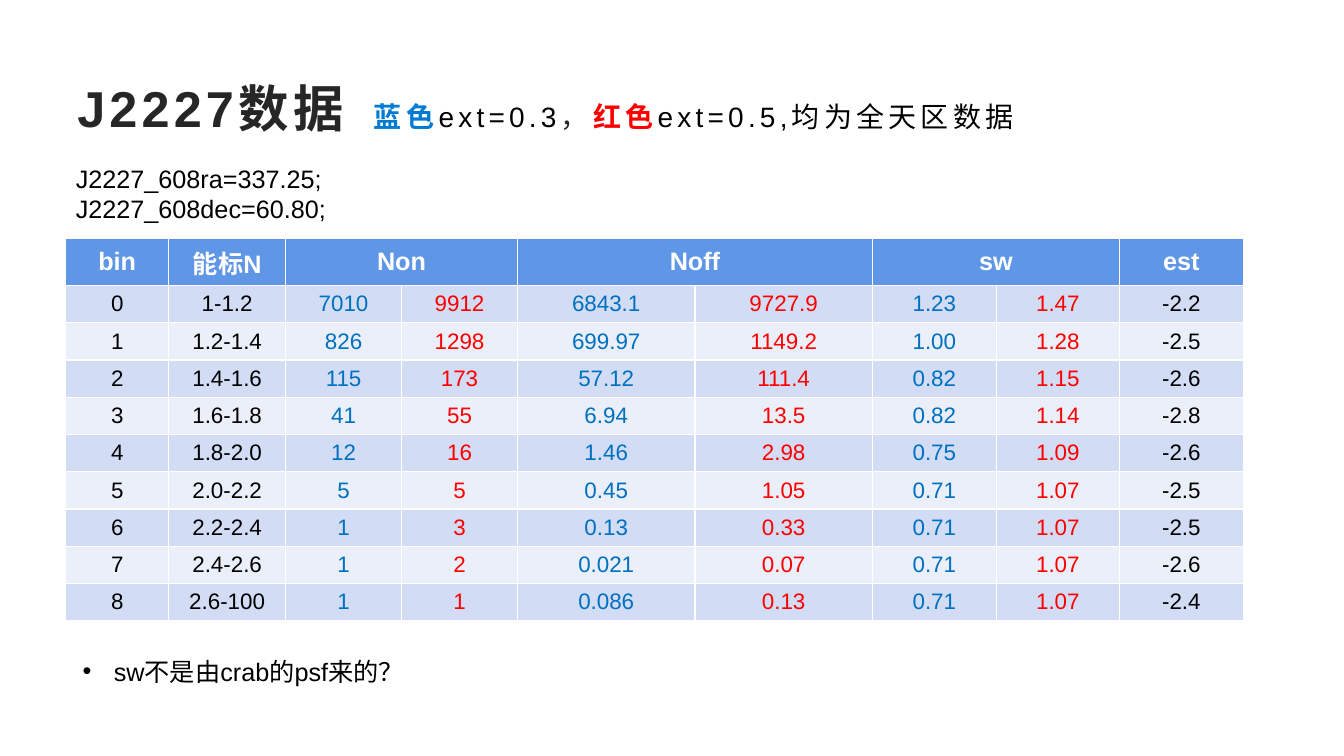
from pptx import Presentation
from pptx import util as u
from pptx.dml.color import RGBColor
from pptx.enum import text as t

WHITE = RGBColor(0xFF, 0xFF, 0xFF)
BLACK = RGBColor(0x00, 0x00, 0x00)
DARK = RGBColor(0x26, 0x26, 0x26)
BLUE = RGBColor(0x00, 0x70, 0xC0)
RED = RGBColor(0xFF, 0x00, 0x00)
SKY = RGBColor(0x00, 0x7B, 0xD3)
NAVY = RGBColor(0x03, 0x43, 0x73)
HEAD = RGBColor(0x60, 0x96, 0xE6)
BANDS = RGBColor(0xD2, 0xDD, 0xF5), RGBColor(0xEA, 0xEF, 0xFA)

FONT = "Arial"
WIDTH, HEIGHT = u.Inches(13.33), u.Inches(7.5)
COLS = 1.02, 1.16, 1.15, 1.15, 1.76, 1.76, 1.23, 1.22, 1.23
INKS = BLACK, BLACK, BLUE, RED, BLUE, RED, BLUE, RED, BLACK
PAIRS = 2, 4, 6  # first column of each blue and red pair
TOP_ROW, ROW = 0.4, 0.37

TITLE = [
    ("J2227数据 ", 36, DARK, True),
    (" ", 20, DARK, True),
    ("蓝色", 20, None, True),
    ("ext=0.3", 20, BLACK, False),
    ("，", 20, DARK, False),
    ("红色", 20, RED, True),
    ("ext=0.5,均为全天区数据", 20, BLACK, False),
]
HEADS = ["bin", "能标N", "Non", "", "Noff", "", "sw", "", "est"]
DATA = [
    ["0", "1-1.2", "7010", "9912", "6843.1", "9727.9", "1.23", "1.47", "-2.2"],
    ["1", "1.2-1.4", "826", "1298", "699.97", "1149.2", "1.00", "1.28", "-2.5"],
    ["2", "1.4-1.6", "115", "173", "57.12", "111.4", "0.82", "1.15", "-2.6"],
    ["3", "1.6-1.8", "41", "55", "6.94", "13.5", "0.82", "1.14", "-2.8"],
    ["4", "1.8-2.0", "12", "16", "1.46", "2.98", "0.75", "1.09", "-2.6"],
    ["5", "2.0-2.2", "5", "5", "0.45", "1.05", "0.71", "1.07", "-2.5"],
    ["6", "2.2-2.4", "1", "3", "0.13", "0.33", "0.71", "1.07", "-2.5"],
    ["7", "2.4-2.6", "1", "2", "0.021", "0.07", "0.71", "1.07", "-2.6"],
    ["8", "2.6-100", "1", "1", "0.086", "0.13", "0.71", "1.07", "-2.4"],
]


def box(x, y, w, h):
    """Turn shares of the slide's size into left, top, width and height."""
    return int(x * WIDTH), int(y * HEIGHT), int(w * WIDTH), int(h * HEIGHT)


def place(shape, area):
    shape.left, shape.top, shape.width, shape.height = area


def style(run, size, ink, bold=False):
    font = run.font
    font.name, font.size, font.bold = FONT, u.Pt(size), bold
    if ink is not None:
        font.color.rgb = ink


def fade(run):
    """Fill the run with a gradient from sky blue to navy."""
    fill = run.font.fill
    fill.gradient()
    fill.gradient_angle = 0
    for stop, ink in zip(fill.gradient_stops, (SKY, NAVY)):
        stop.color.rgb = ink


def add_title(slide):
    title = slide.shapes.title
    place(title, box(0.05, 0.09, 0.9, 0.103))
    frame = title.text_frame
    frame.auto_size = t.MSO_AUTO_SIZE.NONE
    frame.vertical_anchor = t.MSO_ANCHOR.MIDDLE
    para = frame.paragraphs[0]
    para.alignment = t.PP_ALIGN.LEFT
    for words, size, ink, bold in TITLE:
        run = para.add_run()
        run.text = words
        style(run, size, ink, bold)
        run.font._element.set("spc", "300")
        if ink is None:
            fade(run)


def add_note(slide, words, area):
    note = slide.shapes.add_textbox(*area)
    frame = note.text_frame
    frame.word_wrap = True
    frame.text = words
    for para in frame.paragraphs:
        style(para.runs[0], 18, BLACK)


def add_list(slide, words, area):
    body = slide.placeholders[1]
    place(body, area)
    frame = body.text_frame
    frame.auto_size = t.MSO_AUTO_SIZE.NONE
    frame.text = words
    for para in frame.paragraphs:
        para.space_before = u.Pt(0)
        props = para._p.get_or_add_pPr()
        props.set("marL", str(u.Inches(0.31)))
        props.set("indent", str(u.Inches(-0.31)))
        style(para.runs[0], 18, BLACK)


def fill_cell(cell, words, back, size, ink, bold):
    cell.fill.solid()
    cell.fill.fore_color.rgb = back
    cell.vertical_anchor = t.MSO_ANCHOR.MIDDLE
    para = cell.text_frame.paragraphs[0]
    para.alignment = t.PP_ALIGN.CENTER
    if words:
        para.text = words
        style(para.runs[0], size, ink, bold)


def add_grid(slide, area):
    grid = slide.shapes.add_table(len(DATA) + 1, len(COLS), *area).table
    for col, wide in zip(grid.columns, COLS):
        col.width = u.Inches(wide)
    for row in grid.rows:
        row.height = u.Inches(ROW)
    grid.rows[0].height = u.Inches(TOP_ROW)
    for c, words in enumerate(HEADS):
        fill_cell(grid.cell(0, c), words, HEAD, 18, WHITE, True)
    for c in PAIRS:
        grid.cell(0, c).merge(grid.cell(0, c + 1))
    for r, line in enumerate(DATA):
        for c, words in enumerate(line):
            fill_cell(grid.cell(r + 1, c), words, BANDS[r % 2], 16, INKS[c], False)


def main():
    deck = Presentation()
    deck.slide_width, deck.slide_height = WIDTH, HEIGHT
    slide = deck.slides.add_slide(deck.slide_layouts[1])
    add_title(slide)
    add_grid(slide, box(0.049, 0.316, 0.875, 0.495))
    add_note(slide, "J2227_608ra=337.25;\nJ2227_608dec=60.80;",
             box(0.049, 0.209, 0.264, 0.095))
    add_list(slide, "sw不是由crab的psf来的？", box(0.054, 0.861, 0.45, 0.053))
    deck.save("out.pptx")


if __name__ == "__main__":
    main()
